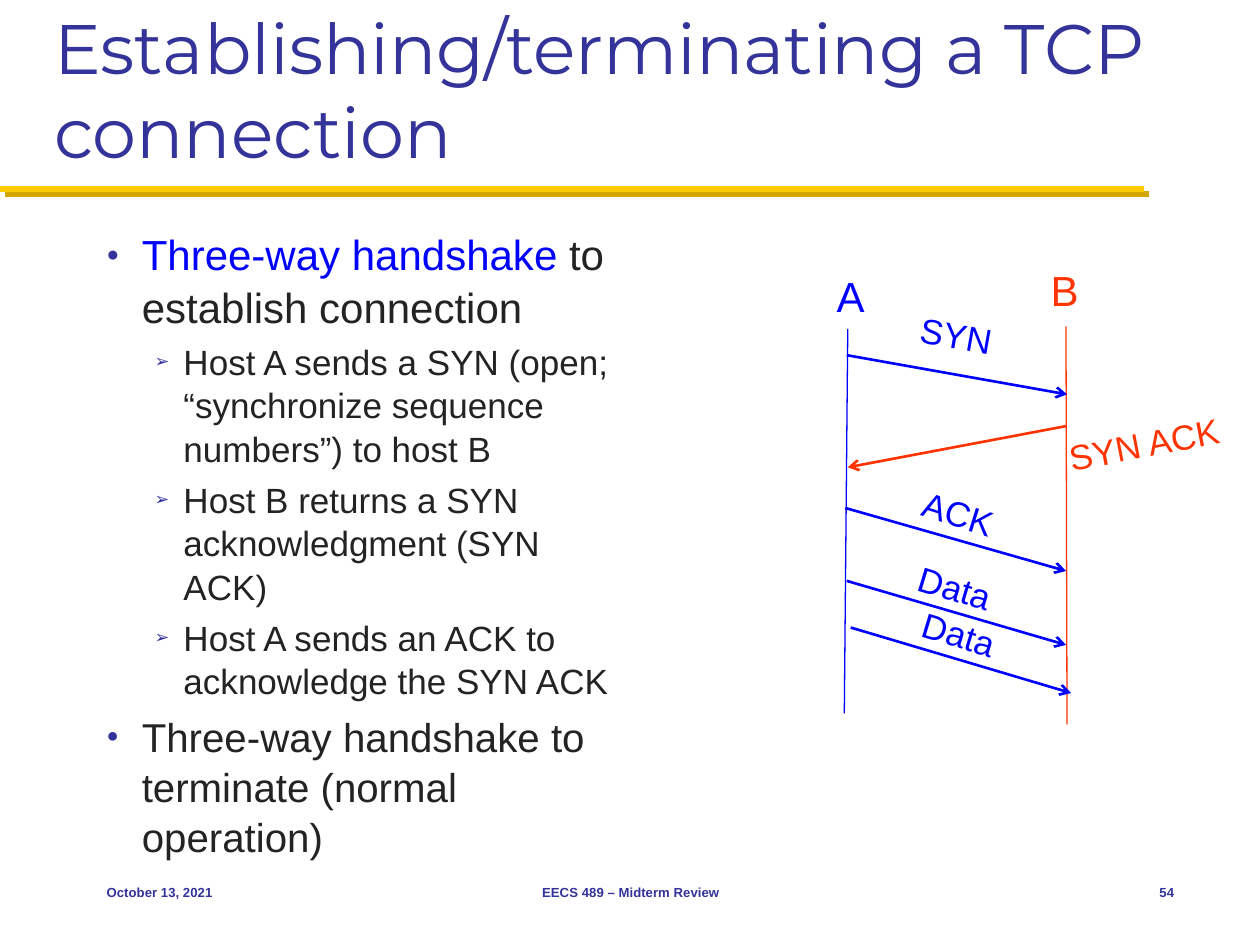
"""Build the slide on opening and closing a TCP connection."""
from typing import NamedTuple

from lxml import etree
from pptx import Presentation
from pptx import util as u
from pptx.dml.color import RGBColor
from pptx.enum import shapes, text
from pptx.oxml.ns import qn

BLUE, RED, NAVY, INK = "0000FF", "FF3300", "333399", "232323"
GOLD, DARK_GOLD = "FFCB05", "D3A600"
LEFT, CENTER, RIGHT = text.PP_ALIGN.LEFT, text.PP_ALIGN.CENTER, text.PP_ALIGN.RIGHT
MIDDLE = text.MSO_ANCHOR.MIDDLE
LABEL_HEIGHT, FOOTER_TOP, FOOTER_HEIGHT = 1.1, 17.35, 1.27


class Message(NamedTuple):
    label: str
    start: tuple[float, float]
    end: tuple[float, float]
    label_center: tuple[float, float]
    angle: float
    color: str = BLUE
    label_width: float = 2.0


class Host(NamedTuple):
    name: str
    center: tuple[float, float]
    top: tuple[float, float]
    bottom: tuple[float, float]
    color: str


class Bullet(NamedTuple):
    runs: list[tuple[str, str]]
    size: float
    level: int = 0
    space_before: float = 4


class Footer(NamedTuple):
    wording: str
    left: float
    width: float
    align: text.PP_ALIGN


MESSAGES = [
    Message("SYN", (17.07, 7.16), (21.51, 7.95), (19.28, 6.76), 10.1),
    Message("SYN ACK", (21.49, 8.59), (17.09, 9.42), (23.06, 8.94), -10.9, RED, 3.63),
    Message("ACK", (17.04, 10.24), (21.49, 11.51), (19.32, 10.35), 17.4),
    Message("Data", (17.07, 11.71), (21.49, 13.0), (19.25, 11.84), 16.7),
    Message("Data", (17.15, 12.65), (21.59, 13.97), (19.33, 12.78), 16.7),
]
HOSTS = [
    Host("A", (17.15, 5.97), (17.09, 6.63), (17.02, 14.38), BLUE),
    Host("B", (21.46, 5.84), (21.49, 6.58), (21.51, 14.6), RED),
]
BULLETS = [
    Bullet([("Three-way handshake", BLUE), (" to establish connection", INK)], 24, 0, 0),
    Bullet([("Host A sends a SYN (open; “synchronize sequence numbers”) to host B", INK)], 20, 1),
    Bullet([("Host B returns a SYN acknowledgment (SYN ACK)", INK)], 20, 1),
    Bullet([("Host A sends an ACK to acknowledge the SYN ACK", INK)], 20, 1),
    Bullet([("Three-way handshake to terminate (normal operation)", INK)], 23, 0, 4.6),
]
BULLET_STYLES = [("●", 0.71, -0.71), ("➢", 1.55, -0.58)]
FOOTERS = [
    Footer("October 13, 2021", 1.9, 5.28, LEFT),
    Footer("EECS 489 – Midterm Review", 8.69, 8.05, CENTER),
    Footer("54", 22.22, 1.7, RIGHT),
]


def rgb(color: str) -> RGBColor:
    """Turn a hex string into a colour."""
    return RGBColor.from_string(color)


def add_run(paragraph, wording: str, color: str, **font_format) -> None:
    """Append a run with the given font format."""
    run = paragraph.add_run()
    run.text = wording
    run.font.color.rgb = rgb(color)
    for attribute, value in {"name": "Arial", **font_format}.items():
        setattr(run.font, attribute, value)


def add_frame(slide, left: float, top: float, width: float, height: float,
              angle: float = 0, **frame_format):
    """Add a text box and return its text frame."""
    box = slide.shapes.add_textbox(u.Cm(left), u.Cm(top), u.Cm(width), u.Cm(height))
    box.rotation = angle
    for attribute, value in {"word_wrap": True, **frame_format}.items():
        setattr(box.text_frame, attribute, value)
    return box.text_frame


def add_label(slide, wording: str, center: tuple[float, float], width: float,
              size: float, color: str, angle: float = 0) -> None:
    """Add one centred line of text around a point."""
    x, y = center
    frame = add_frame(slide, x - width / 2, y - LABEL_HEIGHT / 2, width, LABEL_HEIGHT,
                      angle, word_wrap=False, vertical_anchor=MIDDLE)
    paragraph = frame.paragraphs[0]
    paragraph.alignment = CENTER
    add_run(paragraph, wording, color, size=u.Pt(size))


def add_line(slide, start: tuple[float, float], end: tuple[float, float],
             color: str, width: float, arrow: bool = False):
    """Add a straight line and return its effect list."""
    ends = [u.Cm(value) for value in (*start, *end)]
    line = slide.shapes.add_connector(shapes.MSO_CONNECTOR.STRAIGHT, *ends)
    line.line.color.rgb = rgb(color)
    line.line.width = u.Pt(width)
    if arrow:
        etree.SubElement(line.line._get_or_add_ln(), qn("a:tailEnd"), type="arrow")
    return etree.SubElement(line._element.spPr, qn("a:effectLst"))


def add_title(slide) -> None:
    """Add the heading and its shadowed rule."""
    effects = add_line(slide, (0, 3.81), (23.06, 3.81), GOLD, 3.5)
    shadow = etree.SubElement(effects, qn("a:outerShdw"), dist=str(u.Pt(4.2)),
                              dir="2700000", algn="ctr", rotWithShape="0")
    etree.SubElement(shadow, qn("a:srgbClr"), val=DARK_GOLD)
    frame = add_frame(slide, 0.84, 0.43, 23.7, 3.18, vertical_anchor=text.MSO_ANCHOR.BOTTOM)
    add_run(frame.paragraphs[0], "Establishing/terminating a TCP connection", NAVY,
            name="Montserrat", size=u.Pt(40))


def add_bullet(paragraph, bullet: Bullet) -> None:
    """Fill a paragraph with one bullet point."""
    mark, margin, indent = BULLET_STYLES[bullet.level]
    properties = paragraph._p.get_or_add_pPr()
    properties.set("marL", str(u.Cm(margin)))
    properties.set("indent", str(u.Cm(indent)))
    mark_color = etree.SubElement(properties, qn("a:buClr"))
    etree.SubElement(mark_color, qn("a:srgbClr"), val=NAVY)
    etree.SubElement(properties, qn("a:buSzPct"), val="50000")
    etree.SubElement(properties, qn("a:buFont"), typeface="Arial")
    etree.SubElement(properties, qn("a:buChar"), char=mark)
    paragraph.level = bullet.level
    paragraph.line_spacing = 1.04
    paragraph.space_before = u.Pt(bullet.space_before)
    for wording, color in bullet.runs:
        add_run(paragraph, wording, color, size=u.Pt(bullet.size))


def add_body(slide) -> None:
    """Add the bullet list."""
    frame = add_frame(slide, 1.9, 4.45, 10.8, 12.27)
    for index, bullet in enumerate(BULLETS):
        add_bullet(frame.add_paragraph() if index else frame.paragraphs[0], bullet)


def add_sequence(slide) -> None:
    """Draw the hosts, their lifelines and the messages between them."""
    for host in HOSTS:
        add_line(slide, host.top, host.bottom, host.color, 0.75)
        add_label(slide, host.name, host.center, 1.1, 24, host.color)
    for message in MESSAGES:
        add_line(slide, message.start, message.end, message.color, 1.5, arrow=True)
        add_label(slide, message.label, message.label_center, message.label_width,
                  20, message.color, message.angle)


def add_footer(slide, footer: Footer) -> None:
    """Add one part of the footer."""
    frame = add_frame(slide, footer.left, FOOTER_TOP, footer.width, FOOTER_HEIGHT,
                      vertical_anchor=MIDDLE)
    paragraph = frame.paragraphs[0]
    paragraph.alignment = footer.align
    add_run(paragraph, footer.wording, NAVY, size=u.Pt(7.5), bold=True)


def main() -> None:
    """Build and save the presentation."""
    presentation = Presentation()
    presentation.slide_width, presentation.slide_height = u.Cm(25.4), u.Cm(19.05)
    slide = presentation.slides.add_slide(presentation.slide_layouts[6])
    add_title(slide)
    add_body(slide)
    add_sequence(slide)
    for footer in FOOTERS:
        add_footer(slide, footer)
    presentation.save("out.pptx")


if __name__ == "__main__":
    main()
